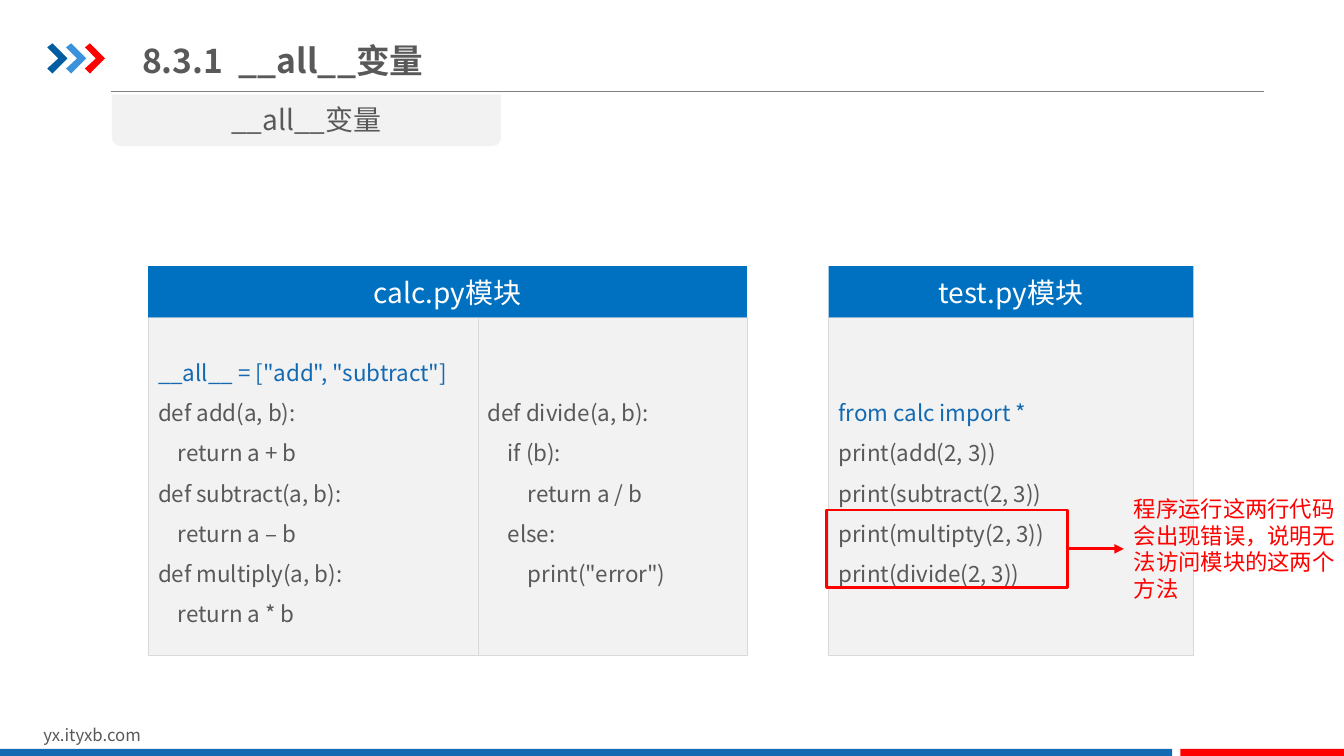
import lxml.etree
import pptx
import pptx.dml.color
import pptx.enum.shapes
import pptx.enum.text
import pptx.oxml.ns
import pptx.util

WIDE = pptx.util.Inches(13.333)
HIGH = pptx.util.Inches(7.5)
FACE = "Noto Sans CJK SC"
GREY, PALE, EDGE = "595959", "F2F2F2", "D9D9D9"
BLUE, NAVY, RED, WHITE = "0070C0", "1369B2", "FF0000", "FFFFFF"
SHAPE = pptx.enum.shapes.MSO_SHAPE
ALIGN = pptx.enum.text.PP_ALIGN
MID = pptx.enum.text.MSO_ANCHOR.MIDDLE
TOP = pptx.enum.text.MSO_ANCHOR.TOP

CALC = [
    '__all__ = ["add", "subtract"]',
    "def add(a, b):",
    "    return a + b",
    "def subtract(a, b):",
    "    return a – b",
    "def multiply(a, b):",
    "    return a * b",
]
DIVIDE = [
    "def divide(a, b):",
    "    if (b):",
    "        return a / b",
    "    else:",
    '        print("error")',
]
TEST = [
    "from calc import *",
    "print(add(2, 3))",
    "print(subtract(2, 3))",
    "print(multipty(2, 3))",
    "print(divide(2, 3))",
]


def across(part):
    return round(WIDE * part / 100)


def down(part):
    return round(HIGH * part / 100)


def place(box):
    left, top, width, height = box
    return across(left), down(top), across(width), down(height)


def paint(target, tone):
    target.solid()
    target.fore_color.rgb = pptx.dml.color.RGBColor.from_string(tone)


def node(parent, tag, **attrs):
    return lxml.etree.SubElement(parent, pptx.oxml.ns.qn(tag), attrs)


def write(frame, lines, size=16, tone=GREY, first=None, bold=False,
          align=ALIGN.LEFT, anchor=TOP, space=1.0, stop=None):
    """Fill a text frame with lines, giving the first its own colour if asked."""
    frame.word_wrap = True
    frame.auto_size = pptx.enum.text.MSO_AUTO_SIZE.NONE
    frame.vertical_anchor = anchor
    for index, line in enumerate(lines):
        para = frame.paragraphs[0] if index == 0 else frame.add_paragraph()
        para.alignment = align
        para.line_spacing = space
        para.space_before = pptx.util.Pt(0)
        if stop:
            tabs = node(para._p.get_or_add_pPr(), "a:tabLst")
            node(tabs, "a:tab", pos=str(across(stop)), algn="l")
        run = para.add_run()
        run.text = line
        font = run.font
        font.size = pptx.util.Pt(size)
        font.bold = bold
        font.name = FACE
        paint(font.fill, first if first and index == 0 else tone)
        node(run._r.get_or_add_rPr(), "a:ea", typeface=FACE)


def label(slide, box, text, **style):
    write(slide.shapes.add_textbox(*place(box)).text_frame, [text], **style)


def dress(shape, fill=None, edge=None, weight=0.25):
    shape.shadow.inherit = False
    if fill:
        paint(shape.fill, fill)
    else:
        shape.fill.background()
    if edge:
        paint(shape.line.fill, edge)
        shape.line.width = pptx.util.Pt(weight)
    else:
        shape.line.fill.background()
    return shape


def block(slide, box, kind=SHAPE.RECTANGLE, **look):
    return dress(slide.shapes.add_shape(kind, *place(box)), **look)


def rule(slide, start, end, tone, weight, arrow=False):
    line = slide.shapes.add_connector(
        pptx.enum.shapes.MSO_CONNECTOR.STRAIGHT,
        across(start[0]), down(start[1]), across(end[0]), down(end[1]))
    paint(line.line.fill, tone)
    line.line.width = pptx.util.Pt(weight)
    if arrow:
        node(line.line._get_or_add_ln(), "a:tailEnd", type="triangle")
    node(line._element.spPr, "a:effectLst")


def chevron(slide, left, tone):
    points = [(across(left + x), down(y)) for x, y in (
        (0, 6.27), (0.38, 5.73), (1.5, 7.73),
        (0.38, 9.73), (0, 9.07), (0.82, 7.73))]
    pen = slide.shapes.build_freeform(*points[0])
    pen.add_line_segments(points[1:], close=True)
    dress(pen.convert_to_shape(), fill=tone)


def header(slide, left, width, text):
    bar = block(slide, (left, 35.2, width, 6.8), fill=BLUE)
    write(bar.text_frame, [text], size=20, tone=WHITE,
          align=ALIGN.CENTER, anchor=MID)


def code(slide, left, width, lines, first=None):
    panel = block(slide, (left, 42, width, 44.67), fill=PALE, edge=EDGE)
    write(panel.text_frame, lines, first=first, anchor=MID, space=1.5)


def frame(slide):
    """Draw the rule, chevrons and footer around the content."""
    rule(slide, (8.25, 12.13), (94.05, 12.13), "808080", 0.75)
    for index, tone in enumerate(("005DA2", "3992DB", RED)):
        chevron(slide, 3.52 + 1.4 * index, tone)
    label(slide, (2.48, 95.2, 23.85, 4), "yx.ityxb.com", size=12)
    block(slide, (0, 99.07, 87.22, 0.93), fill=NAVY)
    block(slide, (87.83, 99.07, 12.17, 0.93), fill=RED)


def heading(slide):
    title = slide.shapes.title
    title.left, title.top, title.width, title.height = place(
        (9.82, 3.87, 40.57, 8.13))
    write(title.text_frame, ["8.3.1\t__all__变量"], size=24, bold=True,
          anchor=MID, stop=7.2)
    tab = block(slide, (8.32, 12.53, 28.95, 6.8),
                SHAPE.ROUND_2_SAME_RECTANGLE, fill=PALE)
    tab.rotation = 180
    label(slide, (8.32, 12.93, 28.95, 5.87), "__all__变量", size=20,
          align=ALIGN.CENTER)


def main():
    deck = pptx.Presentation()
    deck.slide_width, deck.slide_height = WIDE, HIGH
    slide = deck.slides.add_slide(deck.slide_layouts[5])
    frame(slide)
    heading(slide)
    code(slide, 11.02, 24.53, CALC, first=NAVY)
    code(slide, 35.55, 20.02, DIVIDE)
    header(slide, 11.02, 44.55, "calc.py模块")
    code(slide, 61.65, 27.15, TEST, first=NAVY)
    header(slide, 61.65, 27.15, "test.py模块")
    block(slide, (61.5, 67.47, 17.92, 10.27), edge=RED, weight=2)
    rule(slide, (79.42, 72.6), (83.62, 72.6), RED, 2.25, arrow=True)
    label(slide, (83.62, 64.8, 17.92, 15.73),
          "程序运行这两行代码会出现错误，说明无法访问模块的这两个方法", tone=RED)
    deck.save("out.pptx")


if __name__ == "__main__":
    main()
